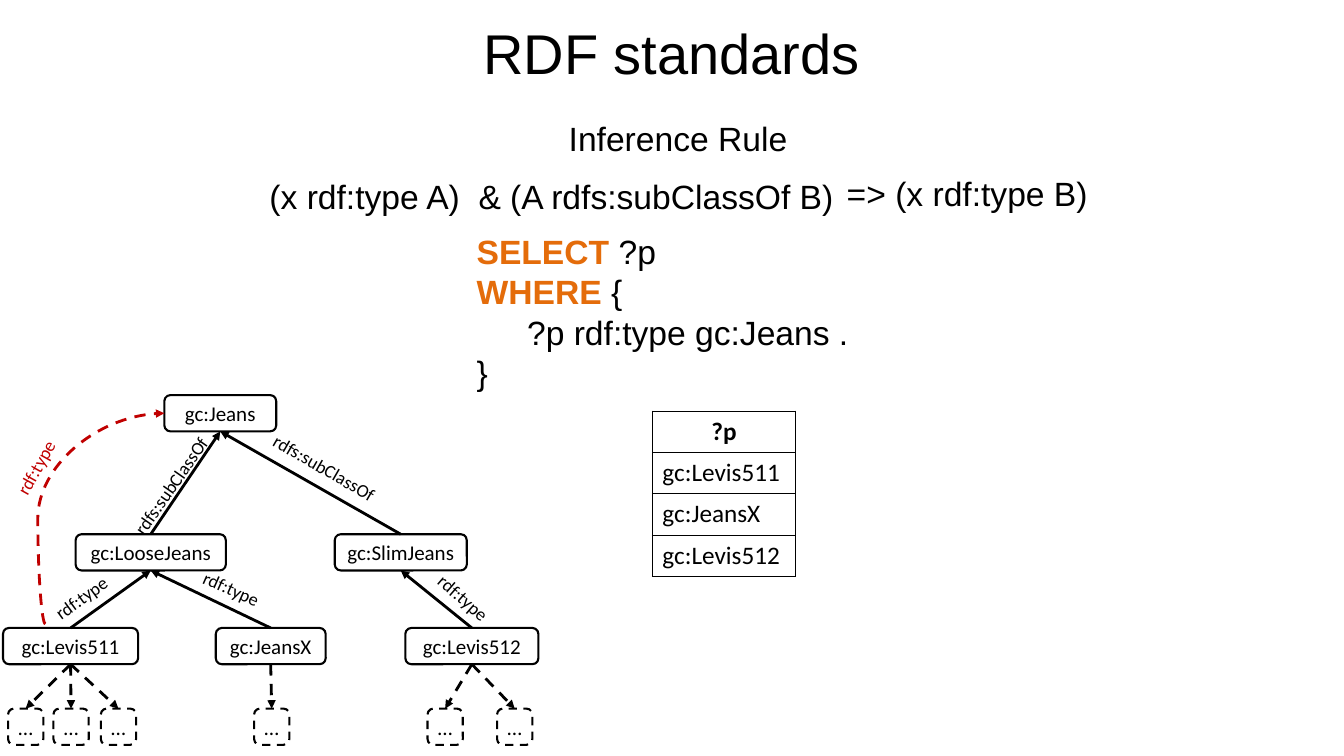
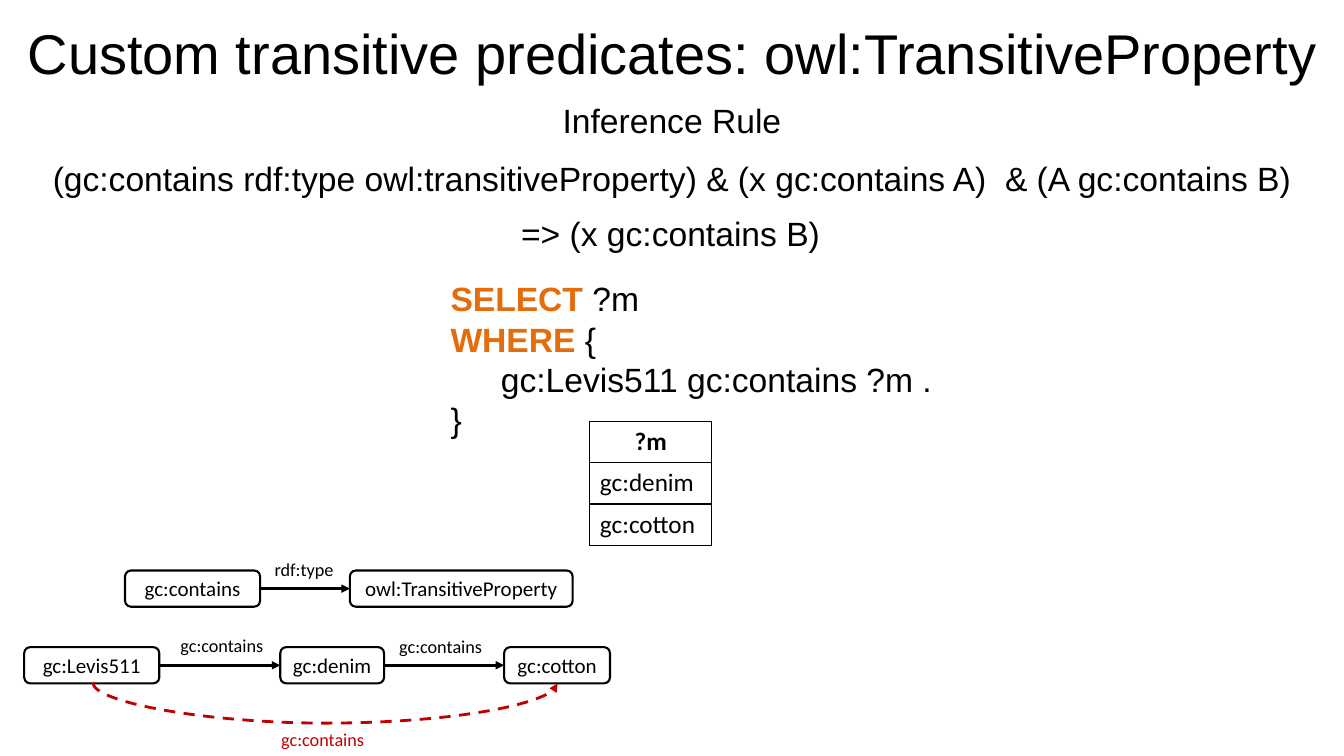
from pptx import Presentation
from pptx.dml.color import RGBColor as RGB
from pptx.enum.dml import MSO_LINE as DASH
from pptx.enum.shapes import MSO_CONNECTOR as CONN, MSO_SHAPE as SHAPE
from pptx.enum.text import MSO_ANCHOR as ANCHOR, PP_ALIGN as ALIGN
from pptx.oxml.ns import qn
from pptx.util import Pt
from lxml.etree import SubElement as Sub

PX = 9144
TOP, LEFT, BOTTOM, RIGHT = range(4)


def px(*nums):
    return [n * PX for n in nums]


class Deck:
    hues = {"ink": "000000", "paper": "FFFFFF", "key": "E46C0A", "new": "C00000"}
    head, body = "Arial", "Calibri"

    def __init__(self):
        self.prs = Presentation()
        self.prs.slide_width, self.prs.slide_height = px(1333, 750)

    def hue(self, name):
        return RGB.from_string(self.hues[name])

    def start(self, title, left, width):
        self.slide = self.prs.slides.add_slide(self.prs.slide_layouts[6])
        self.text(title, left, 13, width, 77, size=40)

    def style(self, part, size, face, hue="ink", bold=False):
        for run in part.runs:
            font = run.font
            font.size, font.name, font.bold = Pt(size), face, bold
            font.color.rgb = self.hue(hue)

    def frame(self, *box):
        shape = self.slide.shapes.add_textbox(*px(*box))
        shape.text_frame.word_wrap = True
        return shape

    def text(self, words, *box, size=24, face=head, hue="ink",
             align=ALIGN.CENTER, space=None, turn=0):
        shape = self.frame(*box)
        shape.rotation = turn
        para = shape.text_frame.paragraphs[0]
        para.text = words
        para.alignment = align
        para.line_spacing = space
        self.style(para, size, face, hue)

    def label(self, words, left, top, width=89, turn=0, hue="ink"):
        self.text(words, left, top, width, 32, size=13, face=self.body,
                  hue=hue, turn=turn)

    def rule(self, top, left, width, cause, then, end_x, end_y):
        self.text("Inference Rule", 11 if top > 80 else 5, top, 1323, 68, space=1.5)
        self.text(cause, left, top + 58, width, 68, space=1.5)
        self.text(then, end_x, end_y, 320, 50, align=ALIGN.LEFT)

    def query(self, left, top, width, name, match):
        lines = [("SELECT", f" {name}"), ("WHERE", " {"), ("", match), ("", "}")]
        frame = self.frame(left, top, width, 172).text_frame
        for i, (key, rest) in enumerate(lines):
            para = frame.add_paragraph() if i else frame.paragraphs[0]
            if rest == match:
                para._p.get_or_add_pPr().set("marL", str(50 * PX))
            for words in filter(None, (key, rest)):
                para.add_run().text = words
            self.style(para, 24, self.head)
            if key:
                font = para.runs[0].font
                font.bold, font.color.rgb = True, self.hue("key")

    def node(self, words, left, top, width, dash=False):
        shape = self.slide.shapes.add_shape(
            SHAPE.ROUNDED_RECTANGLE, *px(left, top, width, 36))
        shape.shadow.inherit = False
        shape.fill.solid()
        shape.fill.fore_color.rgb = self.hue("paper")
        self.pen(shape.line, 1.5, "ink", dash)
        frame = shape.text_frame
        frame.text = words
        frame.word_wrap = False
        frame.vertical_anchor = ANCHOR.MIDDLE
        para = frame.paragraphs[0]
        para.alignment = ALIGN.CENTER
        self.style(para, 15, self.body)
        return shape

    def pen(self, line, width, hue, dash):
        line.width = Pt(width)
        line.color.rgb = self.hue(hue)
        if dash:
            line.dash_style = DASH.DASH

    def arrow(self, kind, ends, hue="ink", dash=False):
        wire = self.slide.shapes.add_connector(kind, *px(*ends))
        self.pen(wire.line, 2, hue, dash)
        prop = wire._element.spPr
        Sub(prop.find(qn("a:ln")), qn("a:tailEnd"), type="triangle")
        Sub(prop, qn("a:effectLst"))
        return wire

    def link(self, a, b, out=TOP, into=BOTTOM, dash=False):
        wire = self.arrow(CONN.STRAIGHT, (0, 0, 0, 0), dash=dash)
        wire.begin_connect(a, out)
        wire.end_connect(b, into)

    def curve(self, ends, bend, turn=0):
        prop = self.arrow(CONN.CURVE, ends, "new", True)._element.spPr
        prop.find(qn("a:xfrm")).set("rot", str(turn * 60000))
        geom = prop.find(qn("a:prstGeom"))
        hold = geom.find(qn("a:avLst"))
        if hold is None:
            hold = Sub(geom, qn("a:avLst"))
        Sub(hold, qn("a:gd"), name="adj1", fmla=f"val {bend}")

    def table(self, left, top, width, rows):
        high = 41
        grid = self.slide.shapes.add_table(
            len(rows), 1, *px(left, top, width, high * len(rows))).table
        grid.first_row = grid.horz_banding = False
        for i, words in enumerate(rows):
            grid.rows[i].height = high * PX
            cell = grid.cell(i, 0)
            cell.text = words
            para = cell.text_frame.paragraphs[0]
            para.alignment = ALIGN.LEFT if i else ALIGN.CENTER
            self.style(para, 18, self.body, bold=i == 0)
            prop = cell._tc.get_or_add_tcPr()
            for side in ("lnL", "lnR", "lnT", "lnB"):
                edge = Sub(prop, qn(f"a:{side}"), w=str(Pt(1)))
                fill = Sub(edge, qn("a:solidFill"))
                Sub(fill, qn("a:srgbClr"), val=self.hues["ink"])
            cell.fill.background()


def types(deck):
    deck.start("RDF standards", 169, 994)
    deck.rule(92, 247, 600, "(x rdf:type A)  & (A rdfs:subClassOf B)",
              "=> (x rdf:type B)", 830, 167)
    deck.query(463, 224, 486, "?p", "?p rdf:type gc:Jeans .")
    deck.table(647, 408, 142, ["?p", "gc:Levis511", "gc:JeansX", "gc:Levis512"])

    root = deck.node("gc:Jeans", 163, 392, 111)
    loose = deck.node("gc:LooseJeans", 75, 530, 149)
    slim = deck.node("gc:SlimJeans", 332, 530, 131)
    for kind in (loose, slim):
        deck.link(kind, root)
    leaves = [
        ("gc:Levis511", 3, 134, loose, (8, 53, 100)),
        ("gc:JeansX", 214, 109, loose, (252,)),
        ("gc:Levis512", 402, 132, slim, (424, 493)),
    ]
    for words, left, width, kind, dots in leaves:
        leaf = deck.node(words, left, 623, width)
        deck.link(leaf, kind)
        for x in dots:
            deck.link(leaf, deck.node("…", x, 703, 35, True), BOTTOM, TOP, True)

    deck.curve((45, 619, 163, 410), -6400)
    deck.label("rdfs:subClassOf", 99, 466, 141, 305)
    deck.label("rdfs:subClassOf", 251, 448, 141, 30)
    deck.label("rdf:type", 415, 577, turn=41)
    deck.label("rdf:type", 36, 577, turn=324)
    deck.label("rdf:type", 185, 568, turn=24)
    deck.label("rdf:type", -9, 448, turn=299, hue="new")


def chain(deck):
    deck.start("Custom transitive predicates: owl:TransitiveProperty", 0, 1333)
    deck.rule(74, 5, 1323, "(gc:contains rdf:type owl:transitiveProperty)"
              " & (x gc:contains A)  & (A gc:contains B)",
              "=> (x gc:contains B)", 507, 206)
    deck.query(437, 271, 536, "?m", "gc:Levis511 gc:contains ?m .")
    deck.table(585, 418, 121, ["?m", "gc:denim", "gc:cotton"])

    rows = [
        (566, [("gc:contains", 124, 134), ("owl:TransitiveProperty", 347, 221)]),
        (642, [("gc:Levis511", 24, 134), ("gc:denim", 278, 103),
               ("gc:cotton", 500, 105)]),
    ]
    for top, items in rows:
        nodes = [deck.node(words, x, top, width) for words, x, width in items]
        for a, b in zip(nodes, nodes[1:]):
            deck.link(a, b, RIGHT, LEFT)

    deck.label("rdf:type", 257, 549)
    deck.label("gc:contains", 158, 624, 124)
    deck.label("gc:contains", 375, 625, 124)
    deck.curve((323, 447, 322, 908), 4100000, 270)
    deck.label("gc:contains", 258, 718, 124, hue="new")


def main():
    deck = Deck()
    types(deck)
    chain(deck)
    deck.prs.save("out.pptx")


if __name__ == "__main__":
    main()
